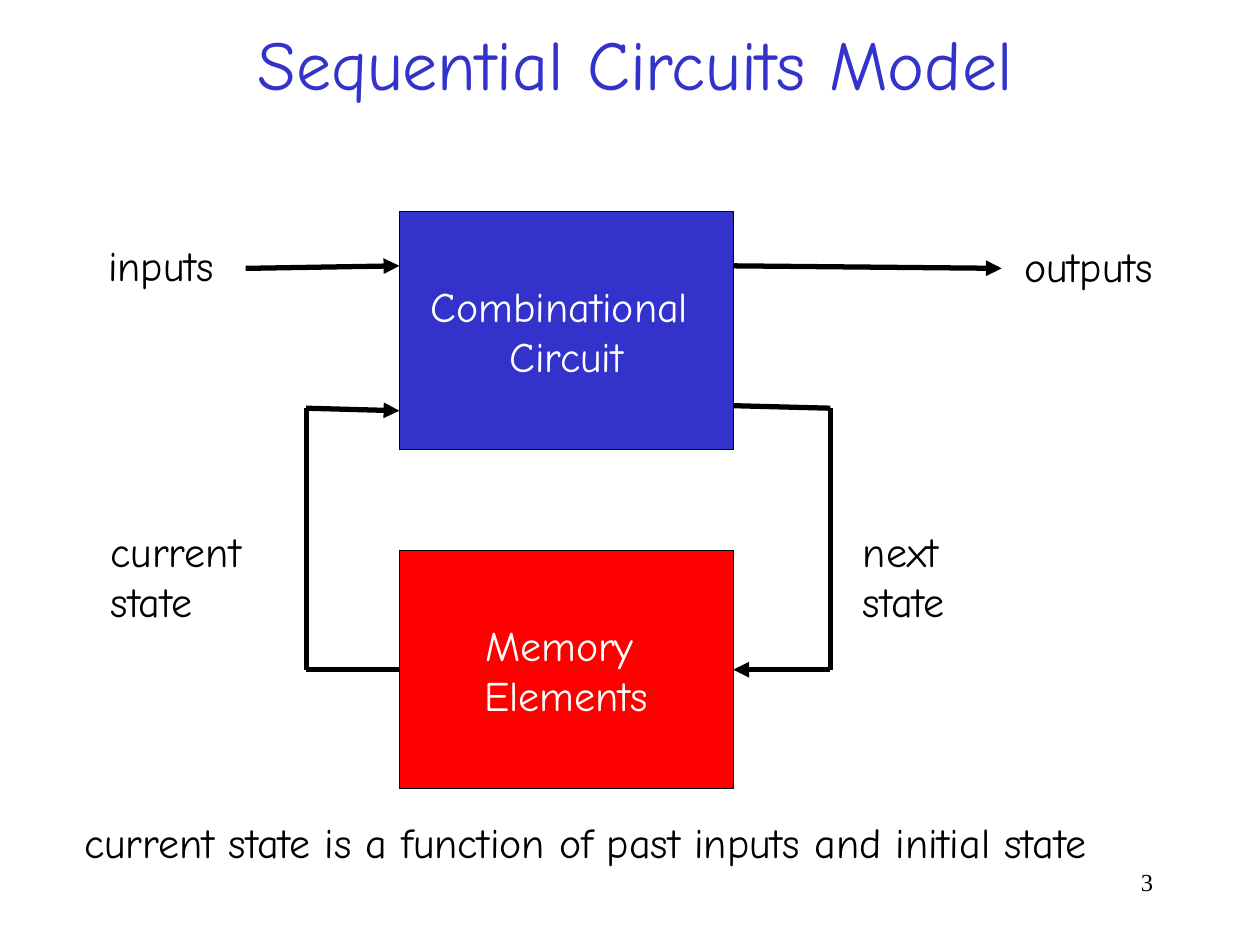
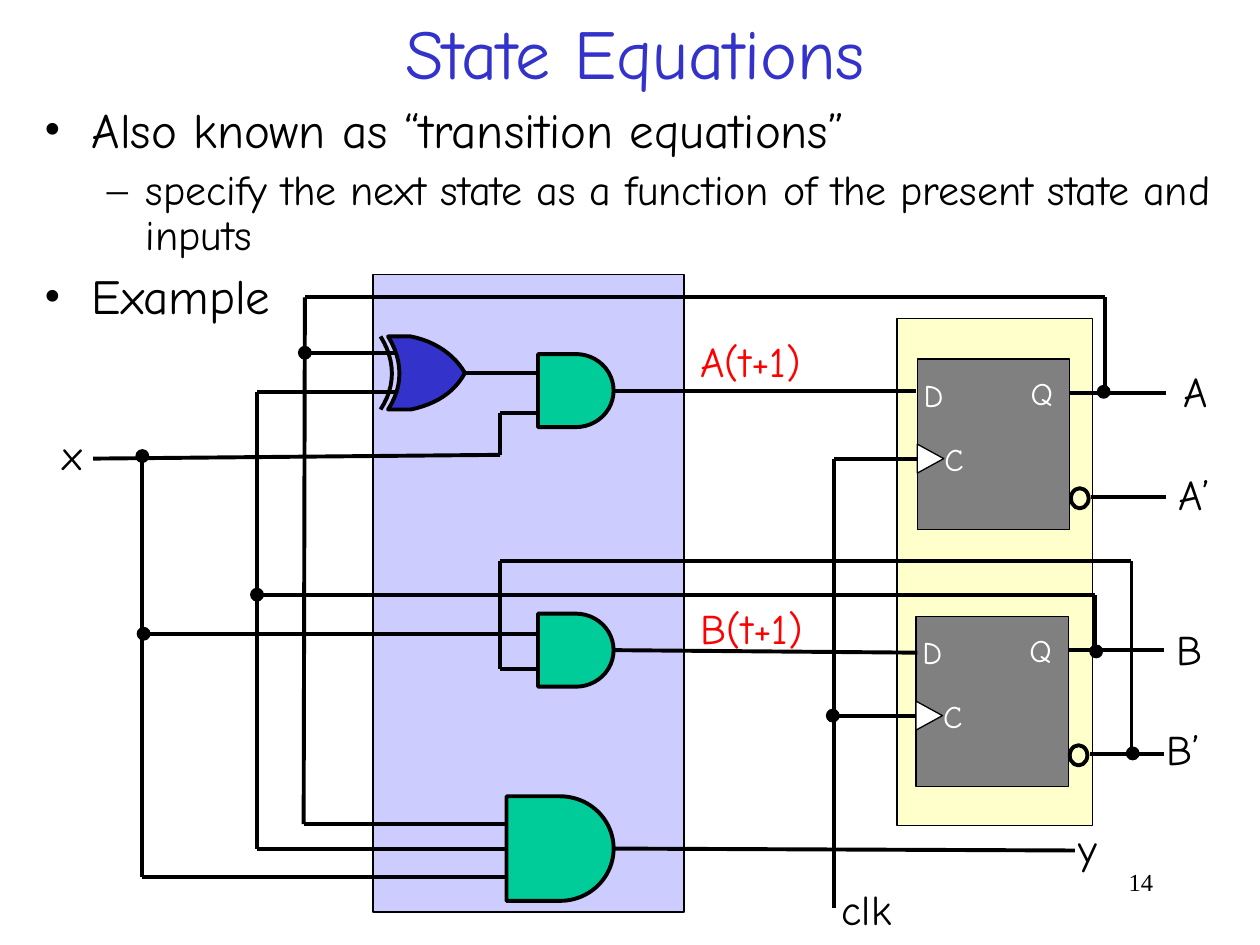
from dataclasses import dataclass
from itertools import pairwise

from lxml.etree import SubElement as Sub
from pptx import Presentation
from pptx.dml.color import RGBColor as Rgb
from pptx.enum.shapes import MSO_CONNECTOR as Link, MSO_SHAPE as Kind
from pptx.enum.text import MSO_ANCHOR as Anchor, MSO_AUTO_SIZE as Fit, PP_ALIGN as Align
from pptx.oxml.ns import qn
from pptx.util import Inches, Pt

COLS, ROWS = 100, 75
LEFT, RIGHT = 1, 3


@dataclass(frozen=True)
class Theme:
    font: str = "Comic Neue"
    serif: str = "Times New Roman"
    ink: str = "000000"
    paper: str = "FFFFFF"
    blue: str = "3333CC"
    red: str = "FF0000"
    green: str = "00CC99"
    grey: str = "808080"
    lilac: str = "CCCCFF"
    cream: str = "FFFFCC"
    title: int = 40
    lead: int = 28
    body: int = 24
    pin: int = 18
    folio: int = 14
    thin: float = 0.75
    bold: float = 2.25
    heavy: float = 3


class Deck:
    def __init__(self, theme):
        self.theme = theme
        self.show = Presentation()
        self.show.slide_width, self.show.slide_height = Inches(10), Inches(7.5)
        self.slide = None

    def x(self, cols):
        return round(self.show.slide_width * cols / COLS)

    def y(self, rows):
        return round(self.show.slide_height * rows / ROWS)

    def area(self, at):
        left, top, wide, high = at
        return self.x(left), self.y(top), self.x(wide), self.y(high)

    def page(self, title, folio, high):
        t = self.theme
        self.slide = self.show.slides.add_slide(self.show.slide_layouts[6])
        self.text((71.7, 68.3, 20.8, 5), [folio], t.folio, face=t.serif,
                  align=Align.RIGHT, wrap=True)
        self.text((2.5, 0, 95.8, high), [title], t.title, t.blue,
                  align=Align.CENTER, wrap=True, anchor=Anchor.MIDDLE)

    def put(self, para, words, size, color, face=None):
        run = para.add_run()
        run.text = words
        run.font.size = Pt(size)
        run.font.name = face or self.theme.font
        run.font.color.rgb = Rgb.from_string(color)

    def fill(self, frame, lines, size, color, face=None, align=Align.LEFT):
        for i, words in enumerate(lines):
            para = frame.add_paragraph() if i else frame.paragraphs[0]
            para.alignment = align
            self.put(para, words, size, color, face)

    def text(self, at, lines, size=None, color=None, face=None, align=Align.LEFT,
             wrap=False, anchor=Anchor.TOP, pad=True):
        t = self.theme
        frame = self.slide.shapes.add_textbox(*self.area(at)).text_frame
        frame.word_wrap = wrap
        frame.auto_size = Fit.NONE if wrap else Fit.SHAPE_TO_FIT_TEXT
        frame.vertical_anchor = anchor
        if not pad:
            frame.margin_left = frame.margin_right = 0
            frame.margin_top = frame.margin_bottom = 0
        self.fill(frame, lines, size or t.body, color or t.ink, face, align)

    def list(self, at, items):
        t = self.theme
        ranks = (("•", 0.38, 0.38, 7, t.lead), ("–", 0.81, 0.31, 6, t.body))
        frame = self.slide.shapes.add_textbox(*self.area(at)).text_frame
        frame.word_wrap = True
        for i, (rank, words) in enumerate(items):
            mark, left, hang, gap, size = ranks[rank]
            para = frame.add_paragraph() if i else frame.paragraphs[0]
            props = para._p.get_or_add_pPr()
            props.set("marL", str(Inches(left)))
            props.set("indent", str(-Inches(hang)))
            Sub(props, qn("a:buFont")).set("typeface", t.serif)
            Sub(props, qn("a:buChar")).set("char", mark)
            para.level = rank
            para.line_spacing = 0.9
            para.space_before = Pt(gap if i else 0)
            self.put(para, words, size, t.ink)

    def paint(self, shape, color, width):
        shape.shadow.inherit = False
        if color:
            shape.fill.solid()
            shape.fill.fore_color.rgb = Rgb.from_string(color)
        else:
            shape.fill.background()
        shape.line.color.rgb = Rgb.from_string(self.theme.ink)
        shape.line.width = Pt(width)
        return shape

    def shape(self, kind, at, color, width=None, lines=(), turn=0):
        shape = self.slide.shapes.add_shape(kind, *self.area(at))
        self.paint(shape, color, width or self.theme.thin)
        shape.rotation = turn
        if lines:
            frame = shape.text_frame
            frame.word_wrap = False
            frame.vertical_anchor = Anchor.MIDDLE
            self.fill(frame, lines, self.theme.body, self.theme.paper, align=Align.CENTER)
        return shape

    def wire(self, *points, width=None, arrow=False, start=None, end=None):
        hops = list(pairwise(points))
        for i, (a, b) in enumerate(hops):
            last = i == len(hops) - 1
            line = self.slide.shapes.add_connector(
                Link.STRAIGHT, self.x(a[0]), self.y(a[1]), self.x(b[0]), self.y(b[1]))
            line.line.color.rgb = Rgb.from_string(self.theme.ink)
            line.line.width = Pt(width or self.theme.bold)
            props = line.element.spPr
            if arrow and last:
                Sub(props.find(qn("a:ln")), qn("a:tailEnd")).set("type", "triangle")
            Sub(props, qn("a:effectLst"))
            if start and i == 0:
                line.begin_connect(*start)
            if end and last:
                line.end_connect(*end)

    def dot(self, x, y):
        self.shape(Kind.OVAL, (x - 0.5, y - 0.5, 1, 1), self.theme.ink)

    def curve(self, points, color=None, close=False):
        spots = [(self.x(x), self.y(y)) for x, y in points]
        pen = self.slide.shapes.build_freeform(*spots[0])
        pen.add_line_segments(spots[1:], close=close)
        self.paint(pen.convert_to_shape(), color, self.theme.bold)


def bend(a, b, c, d, steps=12):
    spots = []
    for i in range(steps + 1):
        t = i / steps
        u = 1 - t
        mix = (u ** 3, 3 * u * u * t, 3 * u * t * t, t ** 3)
        spots.append(tuple(sum(m * p[k] for m, p in zip(mix, (a, b, c, d)))
                           for k in (0, 1)))
    return spots


def model(deck):
    t = deck.theme
    deck.page("Sequential Circuits Model", "3", 10)
    left, wide, high = 31.7, 26.5, 18.9
    right, low = left + wide, 43.7
    mid = low + high / 2
    deck.shape(Kind.RECTANGLE, (left, 16.8, wide, high), t.blue,
               lines=("Combinational ", "Circuit"))
    store = deck.shape(Kind.RECTANGLE, (left, low, wide, high), t.red,
                       lines=("Memory ", "Elements"))
    deck.wire((19.5, 21.3), (left, 21.1), width=t.heavy, arrow=True)
    deck.wire((right, 21.1), (79.5, 21.3), width=t.heavy, arrow=True)
    deck.wire((left, mid), (24.3, mid), (24.3, 32.4), (left, 32.6),
              width=t.heavy, arrow=True, start=(store, LEFT))
    deck.wire((right, 32.2), (65.9, 32.4), (65.9, mid), (right, mid),
              width=t.heavy, arrow=True, end=(store, RIGHT))
    for at, lines in (
        ((7.6, 18.5, 10.4, 5), ["inputs"]),
        ((80.3, 18.6, 12.2, 5), ["outputs"]),
        ((7.8, 41.2, 12.4, 9), ["current", "state"]),
        ((67.5, 41.2, 8.7, 9), ["next", "state"]),
    ):
        deck.text(at, lines)
    deck.text((5.7, 64.3, 87.6, 5),
              ["current state is a function of past inputs and initial state"], wrap=True)


def xor(deck):
    tip, top, low = (36.9, 29.6), 26.7, 32.5
    for y in (28, 31.1):
        deck.wire((27.5, y), (33.6, y))
    back = bend((30.8, low), (32, 30.7), (32, 28.6), (30.8, top))
    body = bend(tip, (36.1, 31.1), (34.6, 32.1), (32.6, low)) + back
    body += bend((32.6, top), (34.6, 27.1), (36.1, 28.2), tip)
    deck.curve(body, deck.theme.blue, close=True)
    deck.curve([(x - 0.6, y) for x, y in back])
    deck.wire(tip, (42.7, tip[1]))


def flop(deck, x, y):
    t = deck.theme
    deck.shape(Kind.RECTANGLE, (x, y, 12.1, 13.5), t.grey)
    deck.shape(Kind.ISOSCELES_TRIANGLE, (x - 0.1, y + 6.85, 2.3, 2.1), t.paper, turn=90)
    for name, dx, dy in (("D", 0.5, 1.35), ("Q", 9, 1.15), ("C", 2.15, 6.4)):
        deck.text((x + dx, y + dy, 1.8, 3), [name], t.pin, t.paper, pad=False)
    deck.shape(Kind.OVAL, (x + 12.2, y + 10.25, 1.4, 1.6), None, t.bold)
    for dx, dy in ((12.1, 2.7), (13.8, 10.95)):
        deck.wire((x + dx, y + dy), (x + 19.7, y + dy))


def state(deck):
    t = deck.theme
    deck.page("State Equations", "14", 8.1)
    deck.shape(Kind.RECTANGLE, (29.6, 21.8, 24.7, 50.6), t.lilac)
    deck.shape(Kind.RECTANGLE, (71.2, 25.3, 15.5, 40.2), t.cream)
    deck.list((2.5, 7.9, 95.8, 19.2), (
        (0, "Also known as “transition equations”"),
        (1, "specify the next state as a function of the present state and inputs"),
        (0, "Example"),
    ))
    xor(deck)
    flop(deck, 72.8, 28.5)
    flop(deck, 72.7, 48.9)

    gates = []
    for at, goal in (
        ((42.7, 28.1, 6, 5.8), (72.7, 31)),
        ((42.7, 48.7, 6, 5.8), (72.8, 51.8)),
        ((40.2, 63.2, 8.5, 8.3), (85.3, 67.5)),
    ):
        gate = deck.shape(Kind.FLOWCHART_DELAY, at, t.green, t.bold)
        left, top, wide, high = at
        deck.wire((left + wide, top + high / 2), goal, start=(gate, RIGHT))
        gates.append(gate)

    deck.wire((20.4, 31.1), (20.4, 67.35), (40.2, 67.35), end=(gates[2], LEFT))
    for points in (
        ((87.7, 31), (87.7, 23.6), (24.2, 23.6), (24.1, 65.4), (40.2, 65.4)),
        ((24.2, 28), (27.5, 28)),
        ((86.9, 51.7), (86.9, 47.2), (20.4, 47.2)),
        ((20.4, 31.1), (27.5, 31.1)),
        ((7.4, 36.4), (39.7, 36.1), (39.7, 32.8), (42.7, 32.8)),
        ((11.3, 36.5), (11.3, 69.6), (40.2, 69.6)),
        ((11.4, 50.3), (42.7, 50.3)),
        ((89.8, 59.8), (89.8, 44.5), (39.7, 44.5), (39.7, 53.1), (42.7, 53.1)),
        ((72.8, 36.4), (66.2, 36.4), (66.2, 72.1)),
        ((66.2, 56.8), (72.7, 56.8)),
    ):
        deck.wire(*points)
    for spot in ((87.6, 31.1), (24.2, 28), (11.3, 36.2), (87, 51.7),
                 (11.4, 50.3), (20.4, 47.2), (66.1, 56.8), (89.9, 59.8)):
        deck.dot(*spot)

    deck.text((54.6, 26.1, 12, 5), ["A(t+1)"], color=t.red, wrap=True)
    deck.text((55.6, 47.8, 10, 4), ["B(t+1)"], color=t.red, wrap=True, pad=False)
    for name, x, y, wide in (
        ("A", 93.9, 29, 1.9), ("A’", 93.5, 37.2, 2.6), ("B", 93.4, 49.5, 2.1),
        ("B’", 92.6, 57.4, 2.7), ("x", 5, 34, 1.6), ("y", 85.6, 65.3, 1.5),
        ("clk", 66.8, 70.1, 4),
    ):
        deck.text((x, y, wide, 4), [name], pad=False)


def main():
    deck = Deck(Theme())
    model(deck)
    state(deck)
    deck.show.save("out.pptx")


if __name__ == "__main__":
    main()
